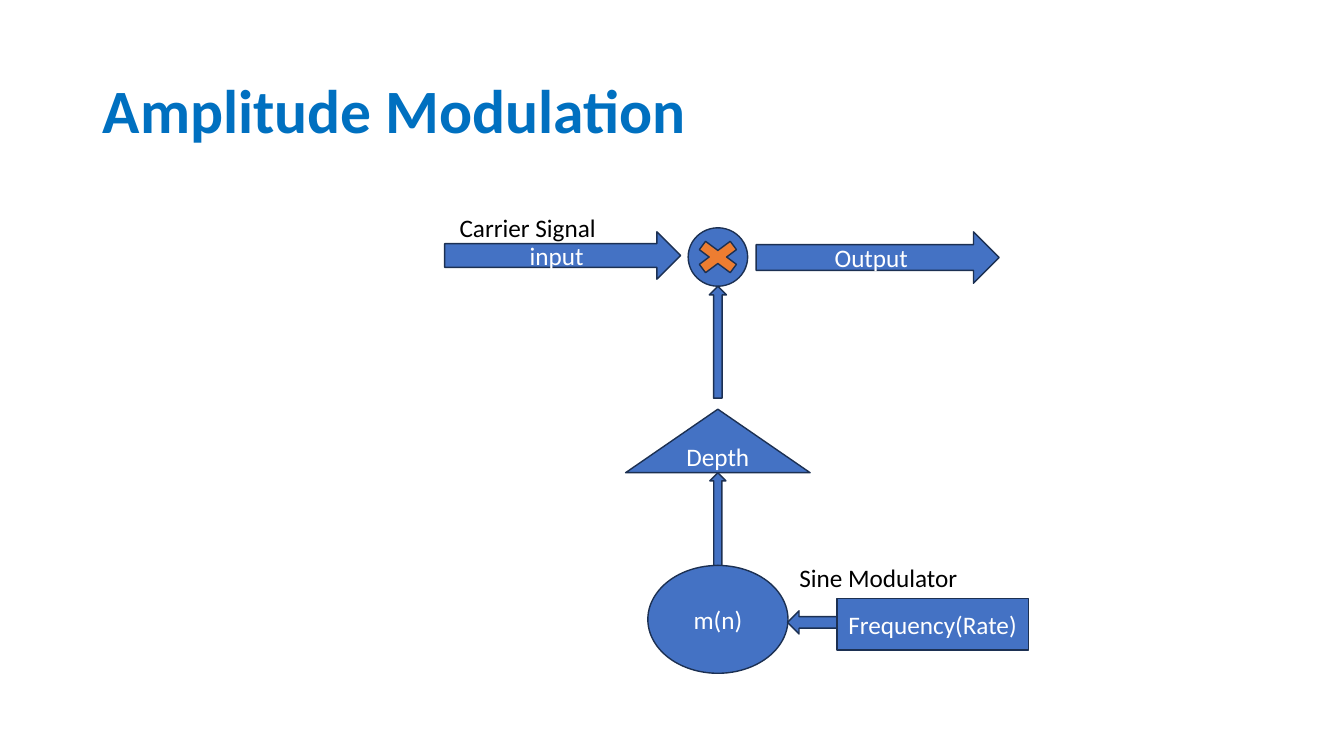
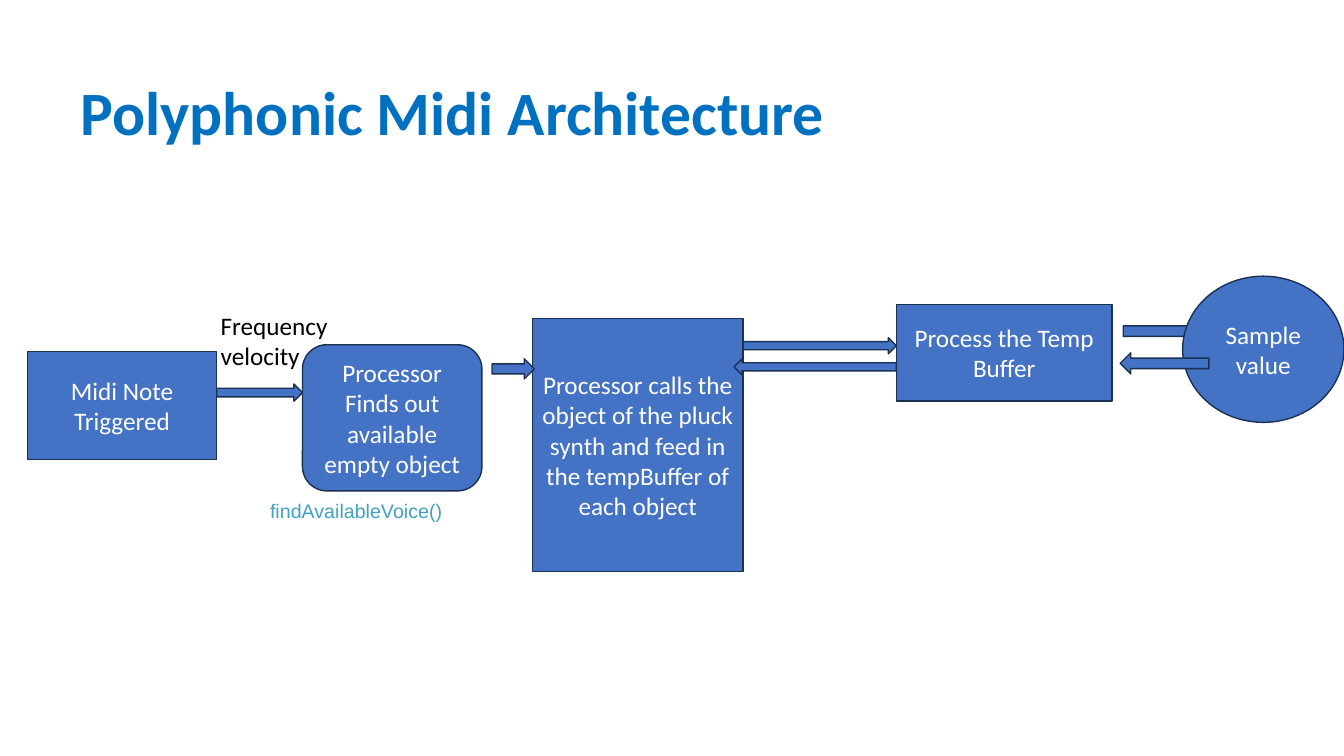
from dataclasses import dataclass

import pptx
import pptx.dml.color
import pptx.enum.shapes
import pptx.enum.text
import pptx.util

Inches = pptx.util.Inches
Shape = pptx.enum.shapes.MSO_SHAPE
Align = pptx.enum.text.PP_ALIGN
Anchor = pptx.enum.text.MSO_ANCHOR
TITLE_ONLY = 5


def rgb(code):
    return pptx.dml.color.RGBColor.from_string(code)


@dataclass(frozen=True)
class Theme:
    title: str = "0070C0"
    block: str = "4472C4"
    accent: str = "ED7D31"
    outline: str = "1C3052"
    light: str = "FFFFFF"
    dark: str = "000000"
    code: str = "41A1C0"
    font: str = "Calibri"
    code_font: str = "Arial"
    title_size: int = 44
    body_size: int = 18
    code_size: int = 14


class DiagramDeck:
    """Holds the style and the slide being drawn."""

    def __init__(self, theme):
        self.theme = theme
        self.deck = pptx.Presentation()
        self.deck.slide_width = Inches(13.33)
        self.deck.slide_height = Inches(7.5)
        self.page = None

    def set_text(self, box, text, color, size, font, align, anchor, bold=False):
        frame = box.text_frame
        frame.text = text
        frame.word_wrap = True
        frame.vertical_anchor = anchor
        for para in frame.paragraphs:
            para.alignment = align
            for span in para.runs:
                span.font.name = font
                span.font.size = pptx.util.Pt(size)
                span.font.bold = bold
                span.font.color.rgb = rgb(color)

    def add_page(self, title, left, top):
        theme = self.theme
        layout = self.deck.slide_layouts[TITLE_ONLY]
        self.page = self.deck.slides.add_slide(layout)
        box = self.page.shapes.title
        box.left, box.top = Inches(left), Inches(top)
        box.width, box.height = Inches(11.5), Inches(1.45)
        self.set_text(box, title, theme.title, theme.title_size, theme.font,
                      Align.LEFT, Anchor.MIDDLE, bold=True)
        box.text_frame.auto_size = pptx.enum.text.MSO_AUTO_SIZE.NONE
        box.text_frame.paragraphs[0].line_spacing = 0.9

    def block(self, kind, left, top, width, height, text="", fill=None):
        theme = self.theme
        shape = self.page.shapes.add_shape(
            kind, Inches(left), Inches(top), Inches(width), Inches(height))
        shape.shadow.inherit = False
        shape.fill.solid()
        shape.fill.fore_color.rgb = rgb(fill or theme.block)
        shape.line.color.rgb = rgb(theme.outline)
        shape.line.width = pptx.util.Pt(1)
        if text:
            self.set_text(shape, text, theme.light, theme.body_size, theme.font,
                          Align.CENTER, Anchor.MIDDLE)

    def centered_block(self, kind, axis, top, width, height, text="", fill=None):
        """Place a block with its middle on a vertical axis."""
        self.block(kind, axis - width / 2, top, width, height, text, fill)

    def label(self, text, left, top, width, height, code=False):
        theme = self.theme
        box = self.page.shapes.add_textbox(
            Inches(left), Inches(top), Inches(width), Inches(height))
        color, size, font = (
            (theme.code, theme.code_size, theme.code_font) if code
            else (theme.dark, theme.body_size, theme.font))
        self.set_text(box, text, color, size, font, Align.LEFT, Anchor.TOP)


def amplitude_modulation(deck):
    axis = 7.12
    deck.add_page("Amplitude Modulation", 0.92, 0.4)
    deck.centered_block(Shape.ISOSCELES_TRIANGLE, axis, 4.06, 1.83, 0.63, "Depth")
    deck.centered_block(Shape.OVAL, axis, 2.26, 0.59, 0.58)
    deck.centered_block(Shape.UP_ARROW, axis, 4.69, 0.16, 0.92)
    deck.centered_block(Shape.UP_ARROW, axis, 2.84, 0.17, 1.11)
    deck.centered_block(Shape.OVAL, axis, 5.61, 1.39, 1.07, "m(n)")
    deck.centered_block(Shape.MATH_MULTIPLY, axis, 2.33, 0.59, 0.44,
                        fill=deck.theme.accent)
    deck.block(Shape.RIGHT_ARROW, 4.41, 2.3, 2.34, 0.47, "input")
    deck.block(Shape.RIGHT_ARROW, 7.5, 2.3, 2.41, 0.51, "Output")
    deck.block(Shape.LEFT_ARROW, 7.81, 6.06, 0.49, 0.23)
    deck.block(Shape.RECTANGLE, 8.3, 5.94, 1.9, 0.51, "Frequency(Rate)")
    deck.label("Carrier Signal", 4.46, 2.06, 1.57, 0.4)
    deck.label("Sine Modulator", 7.83, 5.53, 1.79, 0.4)


def polyphonic_architecture(deck):
    deck.add_page("Polyphonic Midi Architecture", 0.7, 0.42)
    deck.block(Shape.RECTANGLE, 5.28, 3.16, 2.09, 2.51,
               "Processor calls the object of the pluck synth and feed in "
               "the tempBuffer of each object")
    deck.block(Shape.RIGHT_ARROW, 7.37, 3.35, 1.52, 0.16)
    deck.block(Shape.RECTANGLE, 8.89, 3.02, 2.14, 0.96, "Process the Temp Buffer")
    deck.block(Shape.LEFT_ARROW, 7.28, 3.56, 1.61, 0.16)
    deck.block(Shape.RECTANGLE, 0.27, 3.49, 1.88, 1.07, "Midi Note Triggered")
    deck.block(Shape.RIGHT_ARROW, 2.15, 3.81, 0.85, 0.17)
    deck.label("Frequency\nvelocity", 2.09, 3.03, 1.28, 0.71)
    deck.block(Shape.RIGHT_ARROW, 11.14, 3.18, 0.88, 0.21)
    deck.block(Shape.OVAL, 11.73, 2.74, 1.6, 1.45, "Sample value")
    deck.block(Shape.LEFT_ARROW, 11.11, 3.5, 0.88, 0.21)
    deck.block(Shape.ROUNDED_RECTANGLE, 3, 3.42, 1.78, 1.45,
               "Processor Finds out available empty object")
    deck.block(Shape.RIGHT_ARROW, 4.88, 3.56, 0.42, 0.2)
    deck.label("findAvailableVoice()", 2.58, 4.9, 2.71, 0.34, code=True)


def main():
    deck = DiagramDeck(Theme())
    amplitude_modulation(deck)
    polyphonic_architecture(deck)
    deck.deck.save("out.pptx")


if __name__ == "__main__":
    main()
